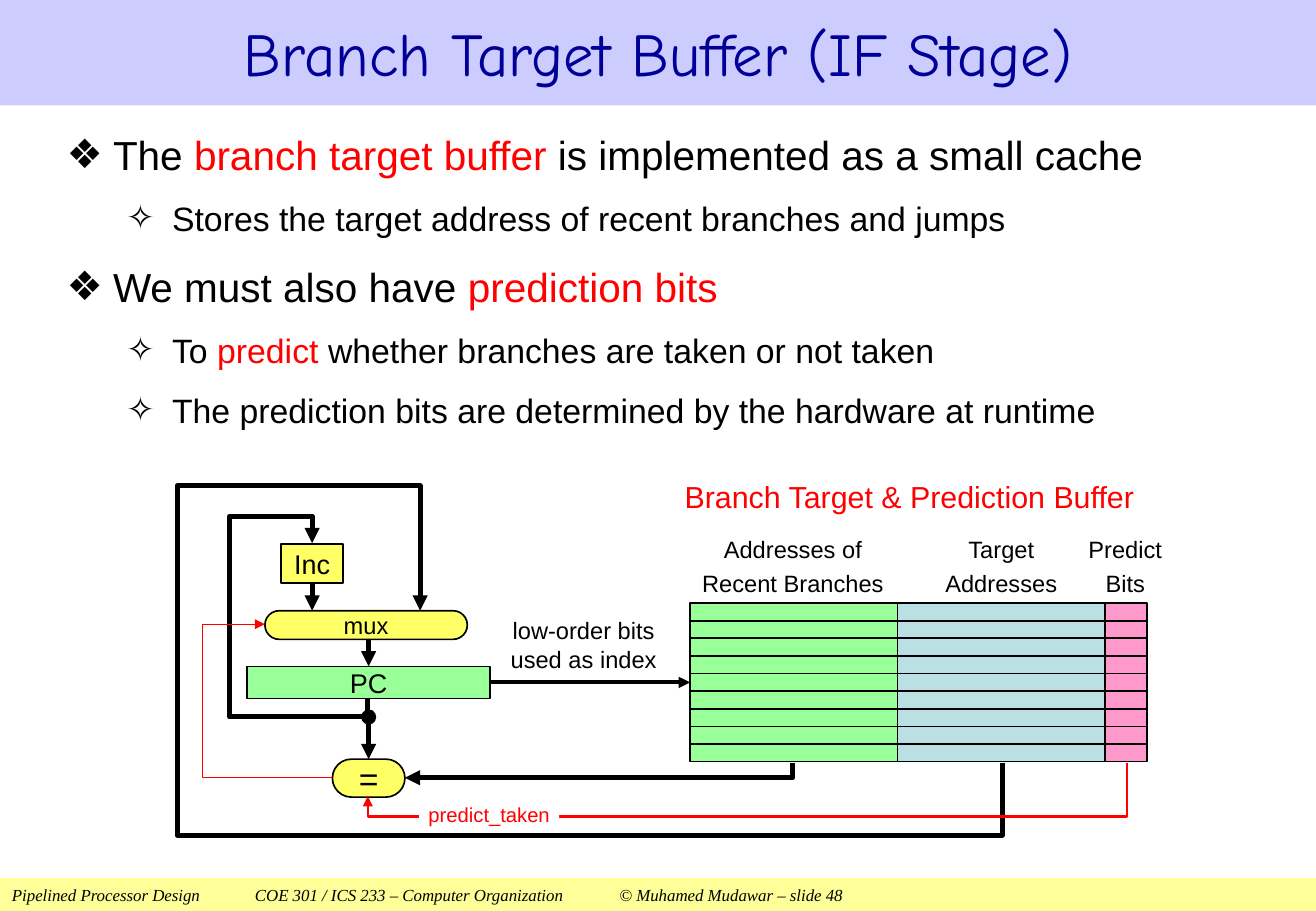
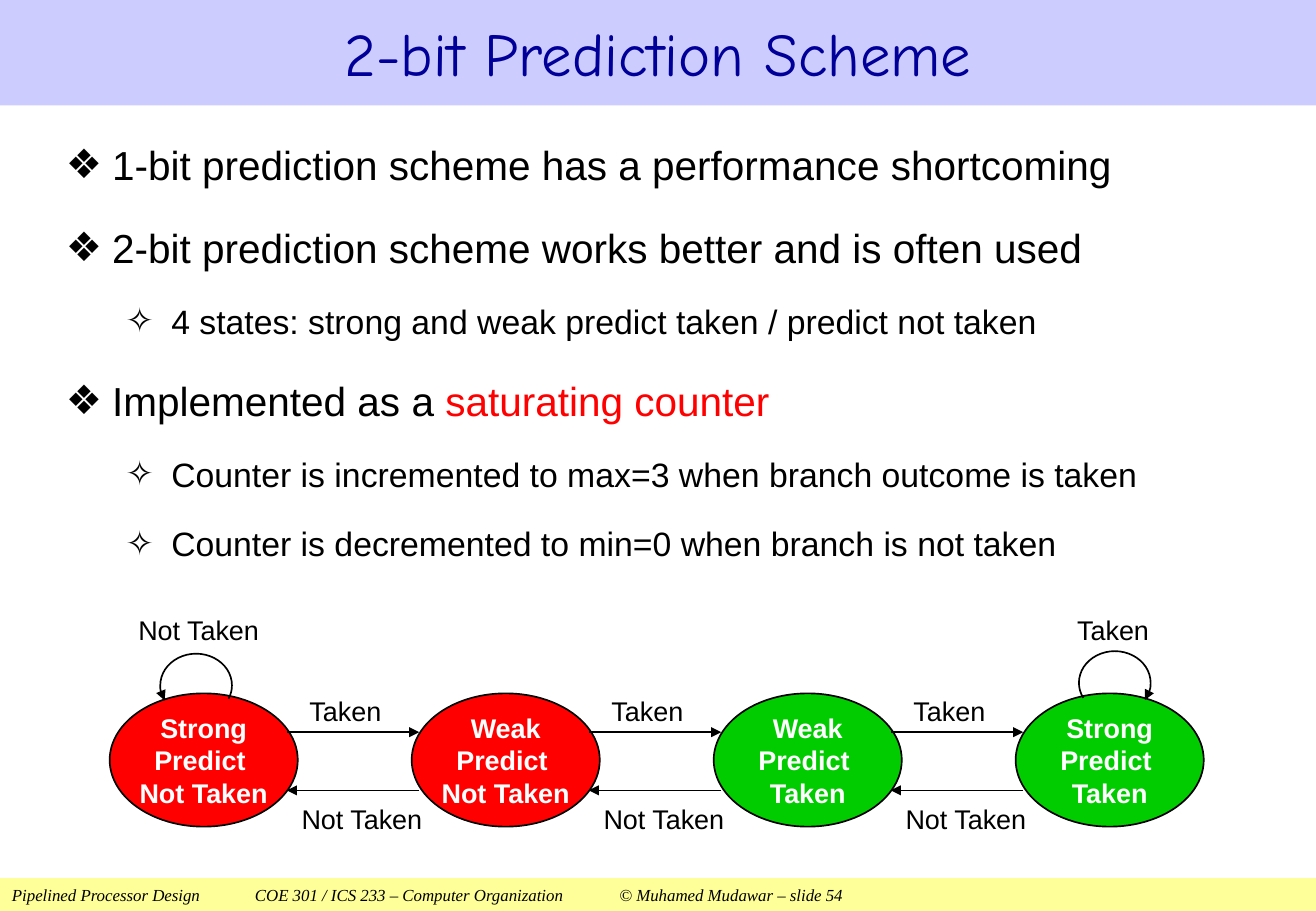
from dataclasses import dataclass

from lxml.etree import SubElement
from pptx import Presentation
from pptx.dml.color import RGBColor
from pptx.enum.shapes import MSO_CONNECTOR, MSO_SHAPE as Preset
from pptx.enum.text import MSO_ANCHOR as Anchor, MSO_AUTO_SIZE as AutoSize, PP_ALIGN as Align
from pptx.oxml.ns import qn
from pptx.util import Pt


@dataclass(frozen=True)
class Theme:
    # Colours
    ink: str = "000000"
    paper: str = "FFFFFF"
    accent: str = "FF0000"
    title_ink: str = "000099"
    title_band: str = "CCCCFF"
    footer_band: str = "FFFF99"
    unit: str = "FFFF66"
    register: str = "99FF99"
    targets: str = "BBE0E3"
    predictions: str = "FF99CC"
    taken: str = "00CC00"
    # Fonts and sizes
    title_font: str = "Comic Neue"
    body_font: str = "Arial"
    footer_font: str = "Times New Roman"
    title_size: float = 36
    body_sizes: tuple = (24, 20)
    heading_size: float = 18
    state_size: float = 16
    label_size: float = 14
    signal_size: float = 12
    footer_size: float = 10
    # Bullet, left margin and hanging indent of each list level
    bullets: tuple = (("❖", 27.5, 27.5), ("✧", 62.5, 27))


WIDTH, HEIGHT = 780, 540
TOP, LEFT, BOTTOM, RIGHT = range(4)


def apply(target, **formats):
    for name, value in formats.items():
        setattr(target, name, value)


class Deck:
    def __init__(self, theme):
        self.theme = theme
        self.prs = Presentation()
        apply(self.prs, slide_width=Pt(WIDTH), slide_height=Pt(HEIGHT))
        self.slide = None

    def new_slide(self, title, number):
        t = self.theme
        self.slide = self.prs.slides.add_slide(self.prs.slide_layouts[1])
        # Title band
        heading = self.slide.shapes.title
        self.place(heading, 0, 0, WIDTH, 62.5)
        self.paint(heading, t.title_band)
        self.set_text(heading, [title], t.title_size, t.title_ink, font=t.title_font)
        # Footer band
        footer = self.box(0, 520.5, WIDTH, 19.5, t.footer_band, edge=None)
        credit = ("Pipelined Processor Design\tCOE 301 / ICS 233 – Computer Organization"
                  f"\t© Muhamed Mudawar – slide {number}")
        self.set_text(footer, [credit], t.footer_size, align=Align.LEFT, inset=7.2,
                      font=t.footer_font, italic=True, tabs=(144, 360))

    def place(self, shape, left, top, width, height):
        apply(shape, left=Pt(left), top=Pt(top), width=Pt(width), height=Pt(height))

    def paint(self, shape, fill):
        shape.fill.solid()
        shape.fill.fore_color.rgb = RGBColor.from_string(fill)

    def style(self, font, size, colour, **formats):
        apply(font, size=Pt(size), **{"name": self.theme.body_font, **formats})
        font.color.rgb = RGBColor.from_string(colour)

    def set_text(self, shape, lines, size, colour=None, align=Align.CENTER, inset=0,
                 spacing=None, wrap=True, font=None, tabs=(), **formats):
        frame = shape.text_frame
        apply(frame, auto_size=AutoSize.NONE, word_wrap=wrap, vertical_anchor=Anchor.MIDDLE,
              margin_left=Pt(inset), margin_right=Pt(inset), margin_top=0, margin_bottom=0)
        for index, line in enumerate(lines):
            para = frame.add_paragraph() if index else frame.paragraphs[0]
            if tabs:
                stops = SubElement(para._p.get_or_add_pPr(), qn("a:tabLst"))
                for stop in tabs:
                    SubElement(stops, qn("a:tab"), pos=str(Pt(stop)), algn="l")
            apply(para, alignment=align, line_spacing=spacing)
            run = para.add_run()
            run.text = line
            self.style(run.font, size, colour or self.theme.ink,
                       name=font or self.theme.body_font, **formats)

    def outline(self, items, left, top, width, height, spacing, gap):
        """Fill the body with (level, text); text between asterisks is accented."""
        t = self.theme
        body = self.slide.placeholders[1]
        self.place(body, left, top, width, height)
        frame = body.text_frame
        apply(frame, auto_size=AutoSize.NONE, word_wrap=True, vertical_anchor=Anchor.TOP,
              margin_left=0, margin_right=0, margin_top=Pt(3.6), margin_bottom=Pt(3.6))
        for index, (level, text) in enumerate(items):
            para = frame.add_paragraph() if index else frame.paragraphs[0]
            bullet, margin, hang = t.bullets[level]
            size = t.body_sizes[level]
            props = para._p.get_or_add_pPr()
            props.set("marL", str(Pt(margin)))
            props.set("indent", str(-Pt(hang)))
            SubElement(props, qn("a:buChar"), char=bullet)
            apply(para, level=level, line_spacing=spacing, space_after=Pt(0),
                  space_before=Pt(round(size * gap, 1) if index else 0))
            for part, words in enumerate(text.split("*")):
                if words:
                    run = para.add_run()
                    run.text = words
                    self.style(run.font, size, t.accent if part % 2 else t.ink)

    def stroke(self, shape, colour, weight, head=None, tail=None):
        shape.line.width = Pt(weight)
        shape.line.color.rgb = RGBColor.from_string(colour)
        for tag, kind in (("a:headEnd", head), ("a:tailEnd", tail)):
            if kind:
                SubElement(shape.line._get_or_add_ln(), qn(tag), type=kind)

    def box(self, left, top, width, height, fill, edge=1, preset=Preset.RECTANGLE):
        shape = self.slide.shapes.add_shape(preset, *map(Pt, (left, top, width, height)))
        shape.shadow.inherit = False
        self.paint(shape, fill)
        if edge:
            self.stroke(shape, self.theme.ink, edge)
        else:
            shape.line.fill.background()
        return shape

    def pill(self, *bounds):
        shape = self.box(*bounds, self.theme.unit, preset=Preset.ROUNDED_RECTANGLE)
        shape.adjustments[0] = 0.5
        return shape

    def label(self, bounds, lines, size, colour=None, **formats):
        text = self.slide.shapes.add_textbox(*map(Pt, bounds))
        self.set_text(text, lines, size, colour, **formats)

    def line(self, start, end, weight=1, head=None, tail=None, leave=None, reach=None):
        link = self.slide.shapes.add_connector(
            MSO_CONNECTOR.STRAIGHT, *map(Pt, (*start, *end)))
        if leave:
            link.begin_connect(*leave)
        if reach:
            link.end_connect(*reach)
        self.stroke(link, self.theme.ink, weight, head, tail)
        SubElement(link._element.spPr, qn("a:effectLst"))

    def route(self, points, weight, colour=None):
        builder = self.slide.shapes.build_freeform(*points[0], scale=Pt(1))
        builder.add_line_segments(points[1:], close=False)
        wire = builder.convert_to_shape()
        wire.shadow.inherit = False
        wire.fill.background()
        self.stroke(wire, colour or self.theme.ink, weight, tail="triangle")

    def loop(self, left, top, angles, **arrowheads):
        arc = self.slide.shapes.add_shape(Preset.ARC, *map(Pt, (left, top, 42.5, 37.5)))
        arc.shadow.inherit = False
        arc.fill.background()
        for index, angle in enumerate(angles):
            arc.adjustments[index] = angle * 0.6
        self.stroke(arc, self.theme.ink, 1, **arrowheads)


def branch_target_buffer(deck):
    t = deck.theme
    deck.new_slide("Branch Target Buffer (IF Stage)", 48)
    deck.outline([
        (0, "The *branch target buffer* is implemented as a small cache"),
        (1, "Stores the target address of recent branches and jumps"),
        (0, "We must also have *prediction bits*"),
        (1, "To *predict *whether branches are taken or not taken"),
        (1, "The prediction bits are determined by the hardware at runtime"),
    ], 39.5, 70.5, 700, 194, spacing=1.1, gap=0.46)

    # Buffer columns with their row lines
    top, height, rows = 357.5, 94, 9
    bottom = top + height
    columns = []
    for left, width, fill in ((409, 123, t.register), (532, 123, t.targets),
                              (655, 25, t.predictions)):
        columns.append(deck.box(left, top, width, height, fill))
        for row in range(1, rows):
            y = round(top + row * height / rows, 2)
            deck.line((left, y), (left + width, y))
    branches_x, targets_x, bits_x = 470.5, 593.5, 667.5

    # Buffer headings
    deck.label((387, 282, 304, 25), ["Branch Target & Prediction Buffer"],
               t.heading_size, t.accent)
    for left, width, lines in ((409, 122, ["Addresses of Recent Branches"]),
                               (535, 117, ["Target", "Addresses"]),
                               (639, 56, ["Predict", "Bits"])):
        deck.label((left, 314.5, width, 39), lines, t.label_size, spacing=1.2)

    # Fetch units
    inc = deck.box(166.5, 322.5, 37, 23, t.unit)
    mux = deck.pill(157, 362, 120, 17)
    pc = deck.box(146.5, 395, 144, 19, t.register)
    compare = deck.pill(197, 450, 43, 22.5)
    for unit, name, size in ((inc, "Inc", 16), (mux, "mux", t.label_size),
                             (pc, "PC", 16), (compare, "=", 20)):
        deck.set_text(unit, [name], size)

    # Straight data paths
    pc_x, inc_x, index_y, branch_y, compare_y = 218.5, 185, 404.5, 425, 461.25
    deck.line((inc_x, 345.5), (inc_x, 362), 3, tail="triangle", leave=(inc, BOTTOM))
    deck.line((pc_x, 379), (pc_x, 395), 3, tail="triangle", reach=(pc, TOP))
    deck.line((pc_x, branch_y), (pc_x, 450), 3, head="oval", tail="triangle",
              reach=(compare, TOP))
    deck.line((290.5, index_y), (409, index_y), 2.25, tail="triangle",
              leave=(pc, RIGHT), reach=(columns[0], LEFT))
    deck.label((295, 365, 102, 34), ["low-order bits used as index"], t.label_size)

    # Bent data paths
    deck.route([(branches_x, bottom), (branches_x, compare_y), (240, compare_y)], 3)
    deck.route([(pc_x, 414), (pc_x, branch_y), (136, branch_y), (136, 305.5),
                (inc_x, 305.5), (inc_x, 322.5)], 3)
    deck.route([(targets_x, bottom), (targets_x, 495), (105, 495), (105, 288),
                (249, 288), (249, 362)], 3)

    # Control paths
    deck.route([(197, compare_y), (120.5, compare_y), (120.5, 370.5), (157, 370.5)],
               0.75, t.accent)
    deck.route([(bits_x, bottom), (bits_x, 484), (pc_x, 484), (pc_x, 472.5)],
               1.5, t.accent)
    signal = deck.box(248.5, 474, 83, 17, t.paper, edge=None)
    deck.set_text(signal, ["predict_taken"], t.signal_size, t.accent)


def prediction_scheme(deck):
    t = deck.theme
    deck.new_slide("2-bit Prediction Scheme", 54)
    deck.outline([
        (0, "1-bit prediction scheme has a performance shortcoming"),
        (0, "2-bit prediction scheme works better and is often used"),
        (1, "4 states: strong and weak predict taken / predict not taken"),
        (0, "Implemented as a *saturating counter*"),
        (1, "Counter is incremented to max=3 when branch outcome is taken"),
        (1, "Counter is decremented to min=0 when branch is not taken"),
    ], 39, 73.5, 702, 278, spacing=1.2, gap=0.62)

    # States, evenly spaced
    first, pitch = 65, 179
    states = (("Strong", "Not Taken", t.accent), ("Weak", "Not Taken", t.accent),
              ("Weak", "Taken", t.taken), ("Strong", "Taken", t.taken))
    lefts = [first + pitch * index for index in range(len(states))]
    for left, (strength, outcome, fill) in zip(lefts, states):
        state = deck.box(left, 411, 111.5, 79, fill, preset=Preset.OVAL)
        deck.set_text(state, [strength, "Predict ", outcome], t.state_size, t.paper,
                      wrap=False, bold=True)

    # Transitions between neighbours
    for left in lefts[:-1]:
        near, far = left + 105, left + 183.5
        deck.line((near, 434), (far, 434), tail="triangle")
        deck.line((far, 468.5), (near, 468.5), tail="triangle")
        deck.label((left + 111, 411, 57.5, 21), ["Taken"], t.state_size)
        deck.label((left + 101.5, 471, 96, 29), ["Not Taken"], t.state_size)

    # Saturated ends loop back, angles in degrees
    deck.loop(95, 387.5, (154.36, 22.42), head="triangle")
    deck.loop(639.5, 386, (154.36, 29.74), tail="triangle")
    deck.label((72, 361, 91.5, 24), ["Not Taken"], t.state_size)
    deck.label((631, 361, 57.5, 24), ["Taken"], t.state_size)


def main():
    deck = Deck(Theme())
    branch_target_buffer(deck)
    prediction_scheme(deck)
    deck.prs.save("out.pptx")


if __name__ == "__main__":
    main()
